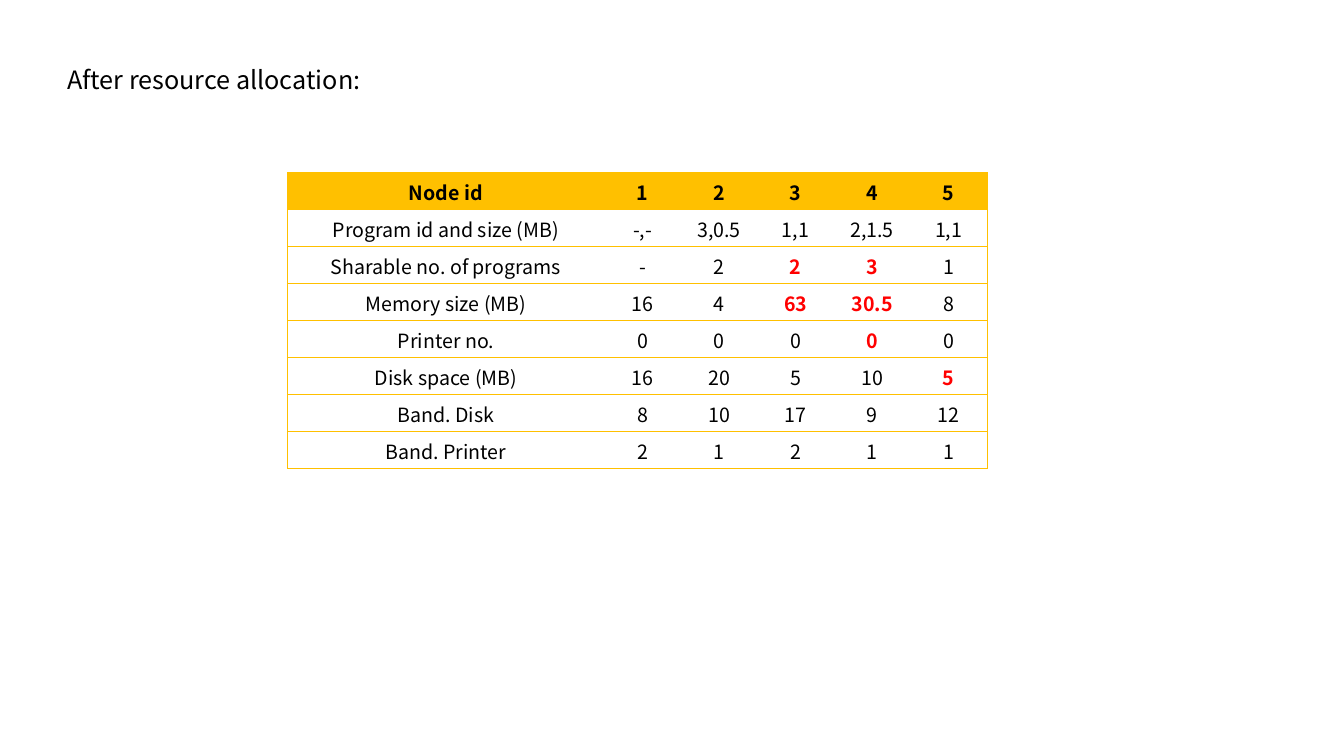
from lxml.etree import SubElement
from pptx import Presentation
from pptx.dml.color import RGBColor
from pptx.enum.text import PP_ALIGN
from pptx.oxml.ns import qn
from pptx.util import Cm, Pt

FONT = "Noto Sans CJK JP"
GOLD = RGBColor(0xFF, 0xC0, 0x00)
RED = RGBColor(0xFF, 0x00, 0x00)
BLACK = RGBColor(0x00, 0x00, 0x00)

NODES = [
    ("Node id", "1", "2", "3", "4", "5"),
    ("Program id and size (MB)", "-,-", "3,0.5", "1,1", "2,1.5", "1,1"),
    ("Sharable no. of programs", "-", "2", "2", "3", "1"),
    ("Memory size (MB)", "16", "4", "63", "30.5", "8"),
    ("Printer no.", "0", "0", "0", "0", "0"),
    ("Disk space (MB)", "16", "20", "5", "10", "5"),
    ("Band. Disk", "8", "10", "17", "9", "12"),
    ("Band. Printer", "2", "1", "2", "1", "1"),
]
# Row and column of each value changed by the allocation
CHANGED = {(2, 3), (2, 4), (3, 3), (3, 4), (4, 4), (5, 5)}


def add_run(para, text, size, color=BLACK, bold=False):
    run = para.add_run()
    run.text = text
    font = run.font
    font.name, font.size, font.bold = FONT, Pt(size), bold
    font.color.rgb = color


def set_edges(cell, drawn):
    """Draw the named edges of a cell in gold and clear the others."""
    props = cell._tc.get_or_add_tcPr()
    for side in "LRTB":
        line = SubElement(props, qn(f"a:ln{side}"), w=str(Pt(0.5)))
        if side in drawn:
            fill = SubElement(line, qn("a:solidFill"))
            SubElement(fill, qn("a:srgbClr"), val=str(GOLD))
        else:
            SubElement(line, qn("a:noFill"))


def add_title(slide, left, top, width, height):
    frame = slide.shapes.add_textbox(left, top, width, height).text_frame
    frame.word_wrap = True
    add_run(frame.paragraphs[0], "After resource allocation:", 18)


def add_nodes(slide, left, top, width, height):
    rows, cols = len(NODES), len(NODES[0])
    table = slide.shapes.add_table(rows, cols, left, top, width, height).table
    table.first_row = table.horz_banding = False
    first = Cm(7.98)
    for c, col in enumerate(table.columns):
        col.width = first if c == 0 else int((width - first) / (cols - 1))
    for r, row in enumerate(NODES):
        for c, text in enumerate(row):
            cell = table.cell(r, c)
            set_edges(cell, "TB" + "L" * (c == 0) + "R" * (c == cols - 1))
            if r == 0:
                cell.fill.solid()
                cell.fill.fore_color.rgb = GOLD
            else:
                cell.fill.background()
            para = cell.text_frame.paragraphs[0]
            para.alignment = PP_ALIGN.CENTER
            new = (r, c) in CHANGED
            add_run(para, text, 14, RED if new else BLACK, new or r == 0)


def main():
    deck = Presentation()
    deck.slide_width, deck.slide_height = Cm(33.87), Cm(19.05)
    slide = deck.slides.add_slide(deck.slide_layouts[6])
    add_title(slide, Cm(1.45), Cm(1.5), Cm(8.15), Cm(1.02))
    add_nodes(slide, Cm(7.25), Cm(4.35), Cm(17.62), Cm(7.45))
    deck.save("out.pptx")


if __name__ == "__main__":
    main()
